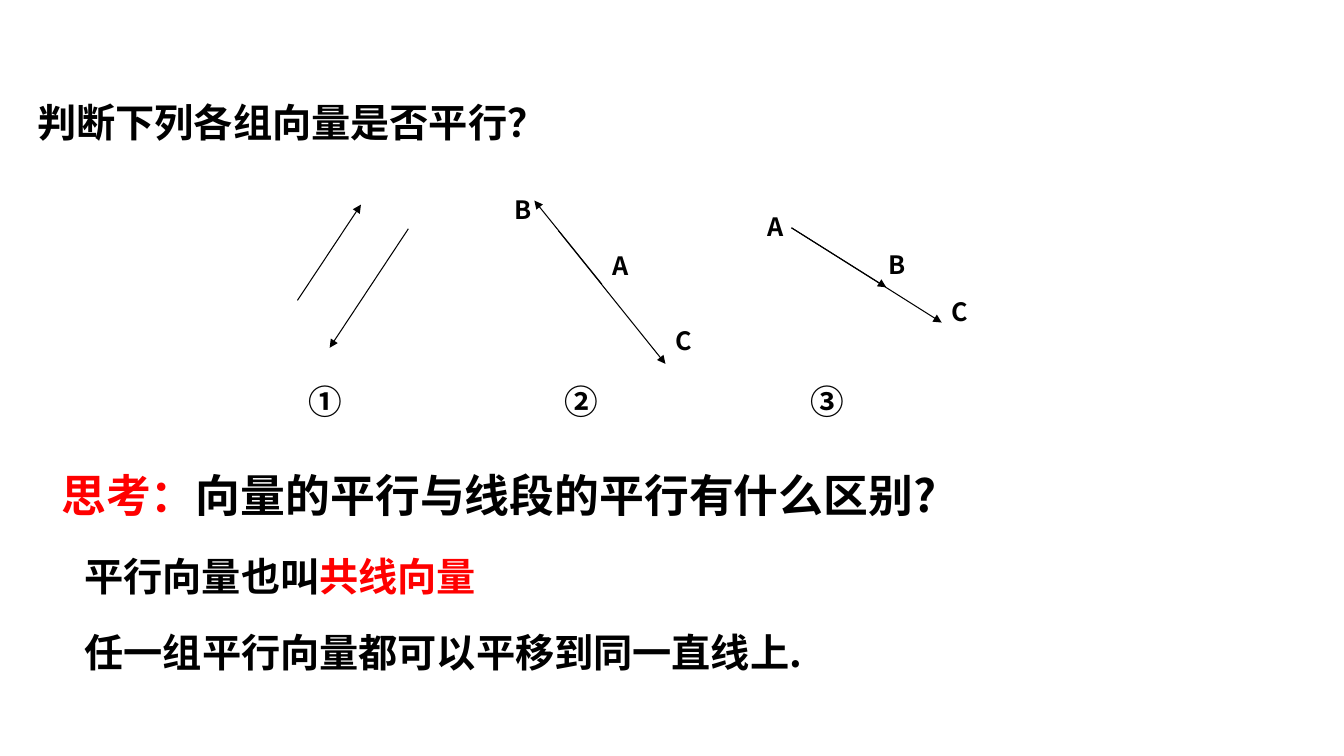
import pptx
import pptx.dml.color
import pptx.enum.shapes
import pptx.enum.text
import pptx.oxml
import pptx.oxml.ns
import pptx.util
from pptx.util import Inches

FONT = "Noto Sans CJK SC"
BLACK, RED = "000000", "FF0000"
HEIGHTS = {18: 0.4, 24: 0.5, 28: 0.57, 32: 0.64}  # box height for each text size


def rgb(value):
    return pptx.dml.color.RGBColor.from_string(value)


def write(sp, runs, size, wrap=False):
    """Fill a text shape with bold (text, colour) runs on one line."""
    tf = sp.text_frame
    tf.word_wrap = wrap
    tf.auto_size = pptx.enum.text.MSO_AUTO_SIZE.SHAPE_TO_FIT_TEXT
    tf.vertical_anchor = pptx.enum.text.MSO_ANCHOR.TOP
    p = tf.paragraphs[0]
    p.alignment = pptx.enum.text.PP_ALIGN.LEFT
    for text, colour in runs:
        r = p.add_run()
        r.text = text
        r.font.color.rgb = rgb(colour)
    p.font.size = pptx.util.Pt(size)
    p.font.bold = True
    p.font.name = FONT
    # Chinese characters take the East Asian typeface
    ea = pptx.oxml.parse_xml(f'<a:ea {pptx.oxml.ns.nsdecls("a")} typeface="{FONT}"/>')
    p._p.pPr.find(pptx.oxml.ns.qn("a:defRPr")).append(ea)


prs = pptx.Presentation()
prs.slide_width, prs.slide_height = Inches(13.33), Inches(7.5)
s = prs.slides.add_slide(prs.slide_layouts[5])

title = s.shapes.title
title.left, title.top = Inches(0.27), Inches(0.93)
title.width, title.height = Inches(6.54), Inches(HEIGHTS[28])
write(title, [("判断下列各组向量是否平行？", BLACK)], 28, wrap=True)

# Each figure: vectors as (start, end), then point labels as (letter, left, top)
figures = [
    ([((2.95, 2.98), (3.58, 2.03)), ((4.05, 2.27), (3.27, 3.45))], []),
    ([((5.54, 2.29), (6.6, 3.61)), ((5.97, 2.82), (5.3, 1.99))],
     [("A", 5.98, 2.43), ("B", 5, 1.88), ("C", 6.6, 3.18)]),
    ([((7.85, 2.26), (9.34, 3.2)), ((7.85, 2.26), (8.79, 2.85))],
     [("A", 7.51, 2.05), ("B", 8.71, 2.42), ("C", 9.34, 2.89)]),
]
for vectors, labels in figures:
    group = s.shapes.add_group_shape()
    for start, end in vectors:
        vector = group.shapes.add_connector(
            pptx.enum.shapes.MSO_CONNECTOR.STRAIGHT, *map(Inches, start + end))
        vector.line.color.rgb = rgb(BLACK)
        vector.line.width = pptx.util.Pt(0.75)
        vector.line._get_or_add_ln().append(pptx.oxml.parse_xml(
            f'<a:tailEnd {pptx.oxml.ns.nsdecls("a")} type="triangle"/>'))
        vector._element.spPr.append(pptx.oxml.parse_xml(
            f'<a:effectLst {pptx.oxml.ns.nsdecls("a")}/>'))
    for letter, left, top in labels:
        sp = group.shapes.add_textbox(
            Inches(left), Inches(top), Inches(0.38), Inches(HEIGHTS[18]))
        write(sp, [(letter, BLACK)], 18)

for number, left in zip("①②③", (2.96, 5.5, 7.94)):
    sp = s.shapes.add_textbox(
        Inches(left), Inches(3.73), Inches(0.54), Inches(HEIGHTS[24]))
    write(sp, [(number, BLACK)], 24)

# Left, top, width, text size, wrap, runs
statements = [
    (0.51, 4.59, 8.99, 32, False,
     [("思考：", RED), ("向量的平行与线段的平行有什么区别?", BLACK)]),
    (0.74, 5.43, 5.83, 28, True, [("平行向量也叫", BLACK), ("共线向量", RED)]),
    (0.74, 6.18, 9.21, 28, True, [("任一组平行向量都可以平移到同一直线上.", BLACK)]),
]
for left, top, width, size, wrap, runs in statements:
    sp = s.shapes.add_textbox(
        Inches(left), Inches(top), Inches(width), Inches(HEIGHTS[size]))
    write(sp, runs, size, wrap)

prs.save("out.pptx")
